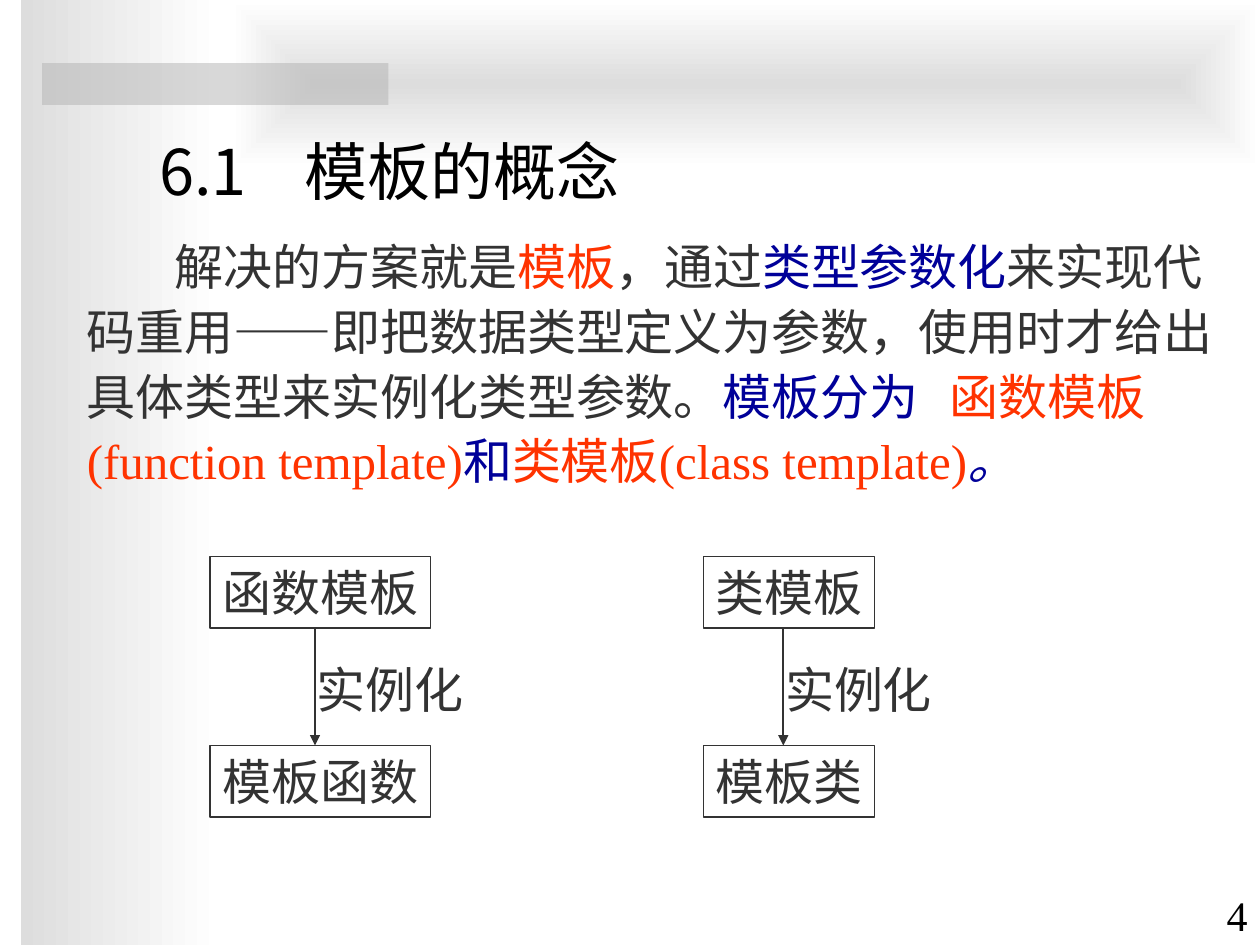
from dataclasses import dataclass

from lxml import etree
from pptx import Presentation
from pptx.dml.color import RGBColor
from pptx.enum.dml import MSO_LINE
from pptx.enum.shapes import MSO_CONNECTOR, MSO_SHAPE
from pptx.enum.text import MSO_ANCHOR, PP_ALIGN
from pptx.oxml.ns import qn
from pptx.util import Emu, Inches, Pt

RECTANGLE = MSO_SHAPE.RECTANGLE
STRAIGHT = MSO_CONNECTOR.STRAIGHT
SOLID = MSO_LINE.SOLID
TOP, MIDDLE, BOTTOM = MSO_ANCHOR.TOP, MSO_ANCHOR.MIDDLE, MSO_ANCHOR.BOTTOM
LEFT, CENTER, RIGHT = PP_ALIGN.LEFT, PP_ALIGN.CENTER, PP_ALIGN.RIGHT
CELL = Inches(1) // 12  # the slide is a grid of 120 columns and 90 rows


@dataclass(frozen=True)
class Theme:
    serif: str = "Times New Roman"
    sans: str = "Noto Sans CJK SC"
    title_size: int = 36
    body_size: int = 28
    number_size: int = 24
    black: str = "000000"
    ink: str = "333333"
    red: str = "FF3300"
    blue: str = "000099"
    band: str = "DDDDDD"
    bar: str = "B2B2B2"
    white: str = "FFFFFF"


@dataclass(frozen=True)
class Area:
    """A rectangle in grid cells."""
    column: float
    row: float
    columns: float
    rows: float

    def lengths(self) -> tuple:
        return tuple(map(cells, (self.column, self.row, self.columns, self.rows)))


@dataclass(frozen=True)
class Flow:
    """A template, and what it becomes when instantiated."""
    source: str
    result: str
    column: float
    columns: float
    arrow_column: float


THEME = Theme()
BOX_ROWS = 6.84
SOURCE_ROW, LABEL_ROW, RESULT_ROW = 53, 62.2, 71
FLOWS = (
    Flow("函数模板", "模板函数", 20, 21, 30),
    Flow("类模板", "模板类", 67, 16.3, 74.6),
)
BODY = (
    ("\t解决的方案就是", THEME.ink),
    ("模板", THEME.red),
    ("，通过", THEME.ink),
    ("类型参数化", THEME.blue),
    ("来实现代码重用——即把数据类型定义为参数，使用时才给出具体类型来实例化类型参数。", THEME.ink),
    ("模板分为\t", THEME.blue),
    ("函数模板(function template)", THEME.red),
    ("和", THEME.blue),
    ("类模板(class template)", THEME.red),
    ("。", THEME.blue),
)


def cells(count: float) -> Emu:
    return Emu(round(count * CELL))


def color(value: str) -> RGBColor:
    return RGBColor.from_string(value)


def add_panel(page, area: Area):
    panel = page.shapes.add_shape(RECTANGLE, *area.lengths())
    panel.shadow.inherit = False
    panel.line.fill.background()
    return panel


def add_gradient(page, area: Area, from_center: bool = False) -> None:
    """Fade from grey to white, rightwards or from the center outwards."""
    panel = add_panel(page, area)
    panel.fill.gradient()
    panel.fill.gradient_angle = 0
    for stop, value in zip(panel.fill.gradient_stops, (THEME.band, THEME.white)):
        stop.color.rgb = color(value)
    if from_center:
        gradient = panel._element.spPr.find(qn("a:gradFill"))
        radial = etree.Element(qn("a:path"), {"path": "rect"})
        etree.SubElement(radial, qn("a:fillToRect"), dict.fromkeys("ltrb", "50000"))
        gradient.replace(gradient.find(qn("a:lin")), radial)


def add_bar(page, area: Area) -> None:
    bar = add_panel(page, area)
    bar.fill.solid()
    bar.fill.fore_color.rgb = color(THEME.bar)
    tone = bar._element.spPr.find(qn("a:solidFill"))[0]
    etree.SubElement(tone, qn("a:alpha"), {"val": "50000"})


def add_text(page, area: Area, text: str, size: int = THEME.body_size,
             ink: str = THEME.ink, font: str = THEME.serif, align=LEFT,
             anchor=TOP, tabs: tuple = ()):
    """Add a one-paragraph box; tabs are its tab stops in cells."""
    box = page.shapes.add_textbox(*area.lengths())
    frame = box.text_frame
    frame.word_wrap = True
    frame.vertical_anchor = anchor
    para = frame.paragraphs[0]
    para.text = text
    para.alignment = align
    if tabs:
        stops = etree.SubElement(para._p.get_or_add_pPr(), qn("a:tabLst"))
        for tab in tabs:
            etree.SubElement(stops, qn("a:tab"), {"pos": str(cells(tab)), "algn": "l"})
    para.font.name = font
    para.font.size = Pt(size)
    para.font.color.rgb = color(ink)
    return box


def add_body(page, area: Area) -> None:
    box = add_text(page, area, "", tabs=(8.4, 82.2))
    para = box.text_frame.paragraphs[0]
    para.line_spacing = 1.1
    for text, ink in BODY:
        span = para.add_run()
        span.text = text
        span.font.color.rgb = color(ink)
    span.font.italic = True


def add_box(page, area: Area, text: str) -> None:
    box = add_text(page, area, text, align=CENTER, anchor=MIDDLE)
    box.text_frame.margin_left = box.text_frame.margin_right = 0
    box.line.color.rgb = color(THEME.ink)
    box.line.width = Pt(1)
    box.line.dash_style = SOLID


def add_arrow(page, column: float, start_row: float, end_row: float) -> None:
    arrow = page.shapes.add_connector(
        STRAIGHT, *map(cells, (column, start_row, column, end_row)))
    arrow.line.color.rgb = color(THEME.ink)
    arrow.line.width = Pt(1)
    etree.SubElement(arrow.line._get_or_add_ln(), qn("a:tailEnd"), {"type": "triangle"})
    etree.SubElement(arrow._element.spPr, qn("a:effectLst"))


def add_flow(page, flow: Flow) -> None:
    for row, text in ((SOURCE_ROW, flow.source), (RESULT_ROW, flow.result)):
        add_box(page, Area(flow.column, row, flow.columns, BOX_ROWS), text)
    add_arrow(page, flow.arrow_column, SOURCE_ROW + BOX_ROWS, RESULT_ROW)
    label = add_text(page, Area(flow.arrow_column - 1, LABEL_ROW, 16.3, BOX_ROWS), "实例化")
    label.text_frame.margin_right = 0


def main() -> None:
    deck = Presentation()
    deck.slide_width, deck.slide_height = cells(120), cells(90)
    page = deck.slides.add_slide(deck.slide_layouts[6])
    add_gradient(page, Area(2, 0, 19, 90))
    add_gradient(page, Area(22, 0, 98, 16), from_center=True)
    add_bar(page, Area(4, 6, 33, 4))
    add_text(page, Area(108, 84.1, 12, 6), "4", THEME.number_size, THEME.black,
             align=RIGHT, anchor=BOTTOM)
    add_text(page, Area(14, 10.1, 102, 10.3), "6.1\t模板的概念", THEME.title_size,
             THEME.black, THEME.sans, anchor=BOTTOM, tabs=(13.8,))
    add_body(page, Area(7.08, 21.4, 110, 31.2))
    for flow in FLOWS:
        add_flow(page, flow)
    deck.save("out.pptx")


if __name__ == "__main__":
    main()
